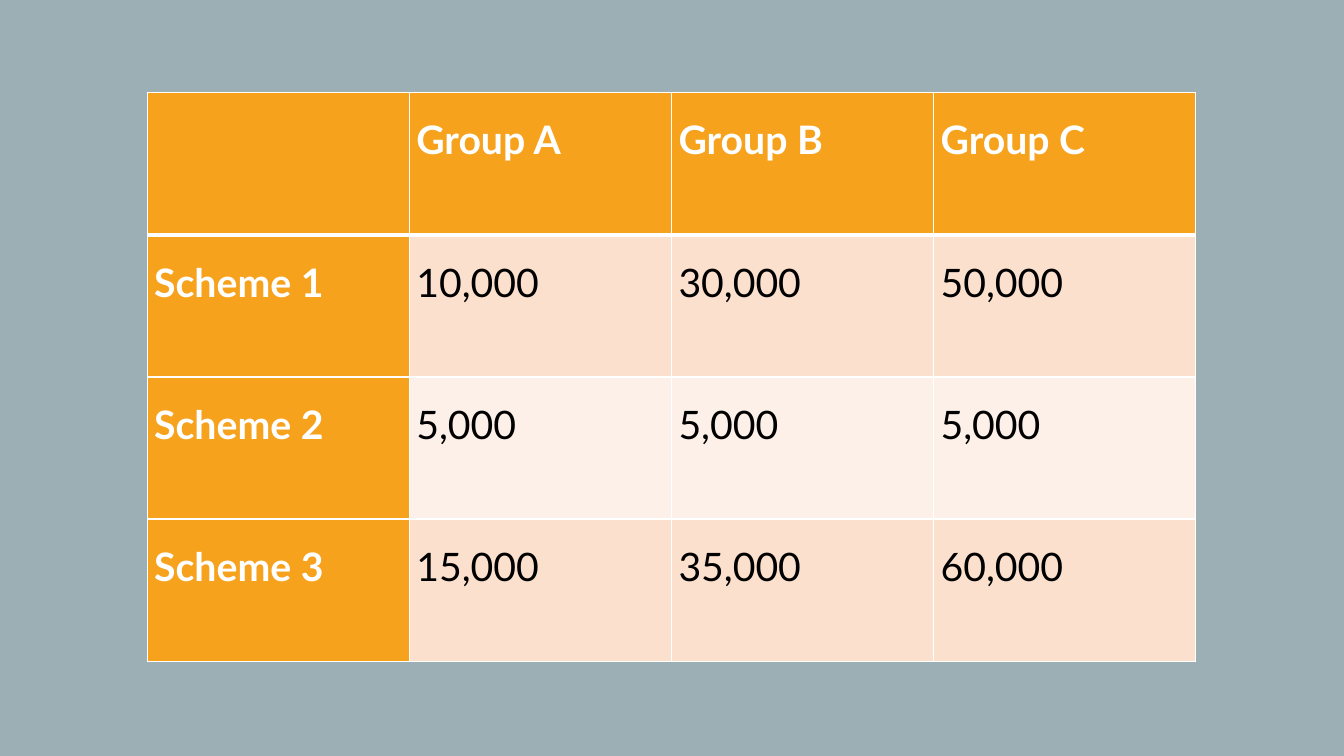
from lxml import etree
from pptx import Presentation
from pptx.dml.color import RGBColor
from pptx.enum.text import PP_ALIGN
from pptx.oxml.ns import qn
from pptx.util import Inches, Pt

JUSTIFY = PP_ALIGN.JUSTIFY
FONT = "Lato"
BACKGROUND = "9BAFB5"
ORANGE = "F6A21D"
BANDS = ("FBE0CD", "FDF0E8")
WHITE = "FFFFFF"
BLACK = "000000"
THIN, THICK = 1, 3

SCHEMES = [
    ["", "Group A", "Group B", "Group C"],
    ["Scheme 1", "10,000", "30,000", "50,000"],
    ["Scheme 2", "5,000", "5,000", "5,000"],
    ["Scheme 3", "15,000", "35,000", "60,000"],
]


def rgb(value):
    return RGBColor.from_string(value)


def write(frame, text, size=28, color=BLACK, bold=False, align=JUSTIFY, spacing=1.5):
    para = frame.paragraphs[0]
    para.alignment = align
    para.line_spacing = spacing
    span = para.add_run()
    span.text = text
    span.font.name = FONT
    span.font.size = Pt(size)
    span.font.bold = bold
    span.font.color.rgb = rgb(color)


class SlideBuilder:
    def __init__(self, page, background):
        self.page = page
        fill = page.background.fill
        fill.solid()
        fill.fore_color.rgb = rgb(background)

    def borders(self, cell, color, **widths):
        properties = cell._tc.get_or_add_tcPr()
        for side in "LRTB":
            width = Pt(widths.get(side, THIN))
            line = etree.SubElement(properties, qn(f"a:ln{side}"), w=str(width))
            fill = etree.SubElement(line, qn("a:solidFill"))
            etree.SubElement(fill, qn("a:srgbClr"), val=color)

    def cell(self, cell, text, fill, color, bold, **widths):
        cell.margin_left = cell.margin_right = Inches(0.07)
        cell.margin_top = cell.margin_bottom = 0
        self.borders(cell, WHITE, **widths)
        cell.fill.solid()
        cell.fill.fore_color.rgb = rgb(fill)
        if text:
            write(cell.text_frame, text, color=color, bold=bold)

    def table(self, rows, left, top, column_width, row_height):
        row_count, column_count = len(rows), len(rows[0])
        table = self.page.shapes.add_table(
            row_count, column_count, Inches(left), Inches(top),
            Inches(column_width * column_count), Inches(row_height * row_count),
        ).table
        for row_index, row in enumerate(rows):
            widths = {0: {"B": THICK}, 1: {"T": THICK}}.get(row_index, {})
            for column_index, text in enumerate(row):
                heading = row_index == 0 or column_index == 0
                fill = ORANGE if heading else BANDS[(row_index - 1) % 2]
                color = WHITE if heading else BLACK
                self.cell(table.cell(row_index, column_index), text, fill, color, heading, **widths)


deck = Presentation()
deck.slide_width = Inches(13.33)
deck.slide_height = Inches(7.5)
page = deck.slides.add_slide(deck.slide_layouts[6])
builder = SlideBuilder(page, BACKGROUND)
builder.table(SCHEMES, left=1.46, top=0.92, column_width=2.6, row_height=1.41)
deck.save("out.pptx")
